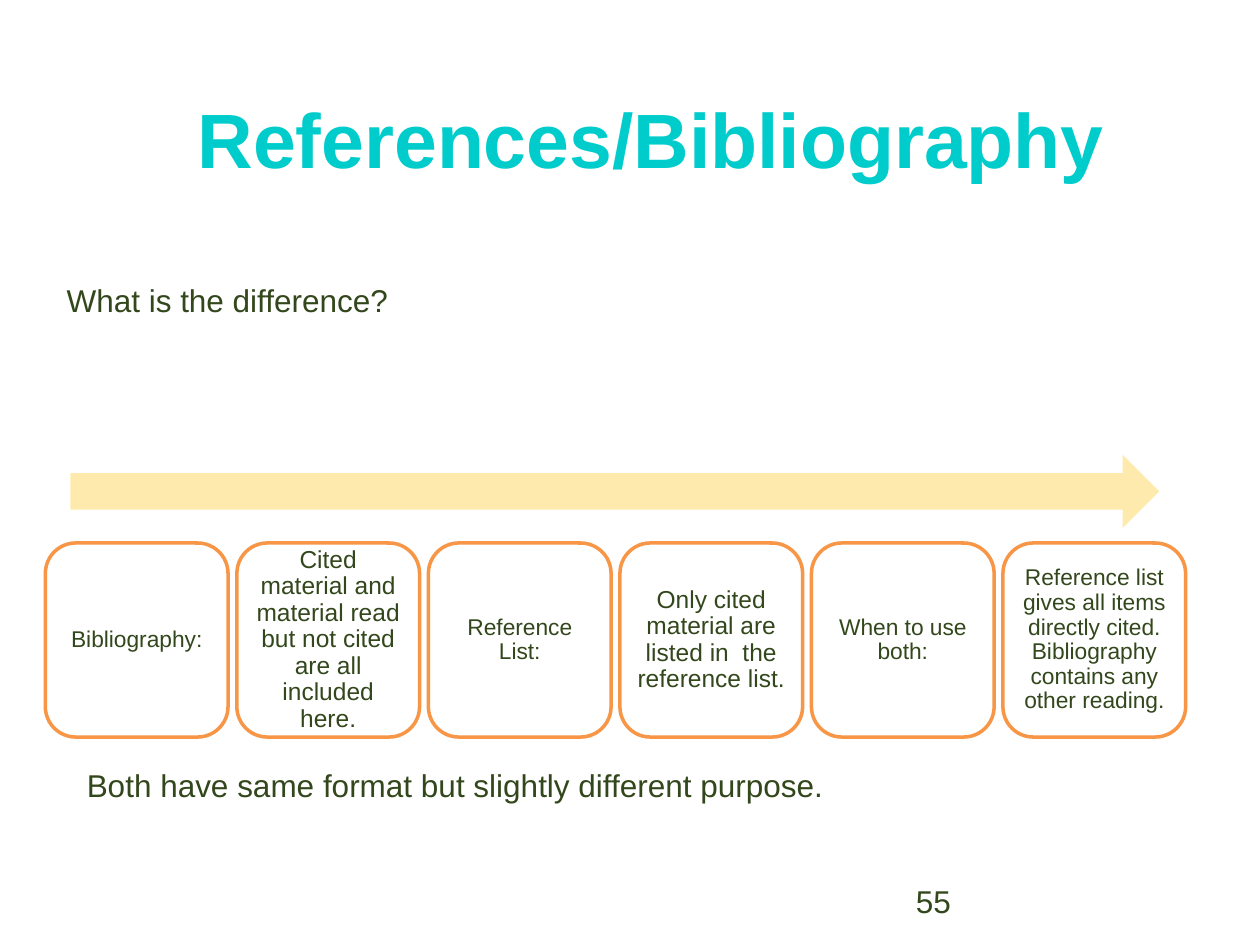
from typing import NamedTuple

from lxml.etree import SubElement
from pptx import Presentation
from pptx.dml.color import RGBColor
from pptx.enum.shapes import MSO_SHAPE as Shape
from pptx.enum.text import MSO_ANCHOR as Anchor, PP_ALIGN as Align
from pptx.oxml.ns import qn
from pptx.util import Inches, Pt

WHITE = RGBColor(0xFF, 0xFF, 0xFF)
TURQUOISE = RGBColor(0x00, 0xCC, 0xCC)
GREEN = RGBColor(0x33, 0x47, 0x1C)
ORANGE = RGBColor(0xF7, 0x96, 0x46)
GOLD = RGBColor(0xFF, 0xC0, 0x00)

STEP_LEFT, STEP_TOP, STEP_PITCH = 0.36, 4.31, 1.52
STEP_WIDTH, STEP_HEIGHT = 1.45, 1.54


class Step(NamedTuple):
    text: str
    size: int = 13
    inset: float = 0.05


class Note(NamedTuple):
    text: str
    left: float
    top: float
    width: float = 7.48


STEPS = [
    Step("Bibliography:"),
    Step("Cited material and material read but not cited are all included here.", 14, 0.06),
    Step("Reference List:"),
    Step("Only cited material are listed in  the reference list.", 14, 0.06),
    Step("When to use both:"),
    Step("Reference list gives all items directly cited. "
         "Bibliography contains any other reading."),
]
NOTES = [
    Note("What is the difference?", 0.43, 2.18),
    Note("Both have same format but slightly different purpose.", 0.59, 6.03),
    Note("55", 7.17, 6.95, 2.33),
]


def set_text(tf, text: str, size: int, color: RGBColor = GREEN, bold: bool = False,
             **paragraph_format) -> None:
    tf.word_wrap = True
    p = tf.paragraphs[0]
    for name, value in paragraph_format.items():
        setattr(p, name, value)
    r = p.add_run()
    r.text = text
    for name, value in {"name": "Arial", "size": Pt(size), "bold": bold}.items():
        setattr(r.font, name, value)
    r.font.color.rgb = color


def paint(sp, fill: RGBColor, line: RGBColor, width: float) -> None:
    sp.fill.solid()
    sp.fill.fore_color.rgb = fill
    sp.line.color.rgb = line
    sp.line.width = Pt(width)


def add_arrow(slide) -> None:
    sp = slide.shapes.add_shape(Shape.RIGHT_ARROW, Inches(0.56), Inches(3.61),
                                Inches(8.64), Inches(0.58))
    sp.shadow.inherit = False
    sp.fill.solid()
    sp.fill.fore_color.rgb = GOLD
    color = sp.fill._xPr.find(qn("a:solidFill"))[0]
    SubElement(color, qn("a:alpha"), val="32000")
    sp.line.fill.background()


def add_step(slide, index: int, step: Step) -> None:
    sp = slide.shapes.add_shape(
        Shape.ROUNDED_RECTANGLE, Inches(STEP_LEFT + index * STEP_PITCH), Inches(STEP_TOP),
        Inches(STEP_WIDTH), Inches(STEP_HEIGHT))
    sp.shadow.inherit = False
    paint(sp, WHITE, ORANGE, 2)
    tf = sp.text_frame
    for side in ("left", "top", "right", "bottom"):
        setattr(tf, f"margin_{side}", Inches(step.inset))
    tf.vertical_anchor = Anchor.MIDDLE
    set_text(tf, step.text, step.size, alignment=Align.CENTER, line_spacing=0.9)


def add_title(slide, text: str) -> None:
    sp = slide.shapes.title
    sp.left, sp.top, sp.width, sp.height = map(Inches, (0.67, 0.47, 9, 1.25))
    paint(sp, WHITE, WHITE, 0.75)
    sp.text_frame.vertical_anchor = Anchor.MIDDLE
    set_text(sp.text_frame, text, 44, TURQUOISE, bold=True, alignment=Align.CENTER)


def add_note(slide, note: Note) -> None:
    sp = slide.shapes.add_textbox(Inches(note.left), Inches(note.top),
                                  Inches(note.width), Inches(0.4))
    set_text(sp.text_frame, note.text, 18)


def main() -> None:
    prs = Presentation()
    prs.slide_width, prs.slide_height = Inches(10), Inches(7.5)
    slide = prs.slides.add_slide(prs.slide_layouts.get_by_name("Title Only"))
    add_title(slide, "References/Bibliography")
    add_arrow(slide)
    for index, step in enumerate(STEPS):
        add_step(slide, index, step)
    for note in NOTES:
        add_note(slide, note)
    prs.save("out.pptx")


if __name__ == "__main__":
    main()
